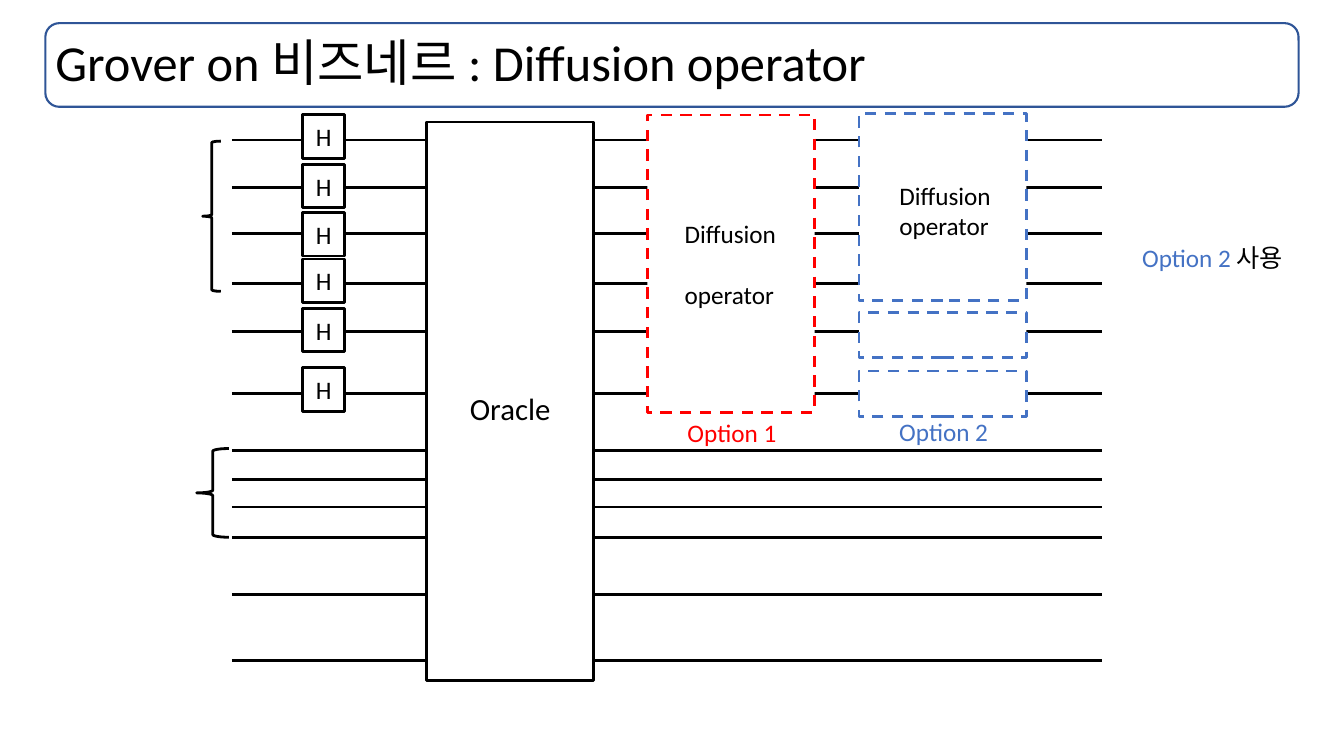
from dataclasses import dataclass

from lxml.etree import SubElement
from pptx import Presentation
from pptx.dml.color import RGBColor
from pptx.enum.dml import MSO_LINE
from pptx.enum.shapes import MSO_CONNECTOR, MSO_SHAPE
from pptx.enum.text import MSO_ANCHOR, MSO_AUTO_SIZE, PP_ALIGN
from pptx.oxml.ns import qn
from pptx.util import Pt

EMU_PER_PX = 9144  # 100 px to the inch


@dataclass(frozen=True)
class Theme:
    font: str = "Calibri"
    ink: str = "000000"
    paper: str = "FFFFFF"
    frame: str = "2F5597"
    option_1: str = "FF0000"
    option_2: str = "4472C4"
    title_size: int = 36
    oracle_size: int = 22
    label_size: int = 18
    stroke: float = 2
    frame_stroke: float = 1.5


THEME = Theme()


def px(length):
    return int(length * EMU_PER_PX)


def emu(*lengths):
    return [px(length) for length in lengths]


def style_text(paragraph, size, *colors):
    """Give the runs one size and the colours in turn."""
    for run, color in zip(paragraph.runs, colors):
        run.font.name = THEME.font
        run.font.size = Pt(size)
        run.font.color.rgb = RGBColor.from_string(color)


def add_outline(slide, kind, box, color=THEME.ink, fill=None, stroke=THEME.stroke, dashed=False):
    outline = slide.shapes.add_shape(kind, *emu(*box))
    outline.shadow.inherit = False
    if fill:
        outline.fill.solid()
        outline.fill.fore_color.rgb = RGBColor.from_string(fill)
    else:
        outline.fill.background()
    outline.line.color.rgb = RGBColor.from_string(color)
    outline.line.width = Pt(stroke)
    if dashed:
        outline.line.dash_style = MSO_LINE.DASH
    return outline


def add_block(slide, box, lines=(), size=THEME.label_size, color=THEME.ink, dashed=False,
              align=PP_ALIGN.CENTER, indent=0, drop=0, gap=0):
    """A white box with its wording inside; drop lowers the wording."""
    block = add_outline(slide, MSO_SHAPE.RECTANGLE, box, color, THEME.paper, dashed=dashed)
    frame = block.text_frame
    frame.vertical_anchor = MSO_ANCHOR.MIDDLE
    frame.margin_left, frame.margin_top = px(indent), px(2 * drop)
    frame.margin_right = frame.margin_bottom = 0
    frame.text = "\n".join(lines)
    for index, paragraph in enumerate(frame.paragraphs):
        paragraph.alignment = align
        if index:
            paragraph.space_before = Pt(gap)
        style_text(paragraph, size, THEME.ink)


def add_label(slide, box, *parts):
    """A one-line label made of (wording, colour) parts."""
    label = slide.shapes.add_textbox(*emu(*box))
    label.text_frame.word_wrap = False
    paragraph = label.text_frame.paragraphs[0]
    for wording, _ in parts:
        paragraph.add_run().text = wording
    style_text(paragraph, THEME.label_size, *(color for _, color in parts))


def title_bar(slide, box):
    add_outline(slide, MSO_SHAPE.ROUNDED_RECTANGLE, box, THEME.frame, stroke=THEME.frame_stroke)
    title = slide.shapes.title
    title.left, title.top, title.width, title.height = emu(*box)
    title.text_frame.text = "Grover on 비즈네르 : Diffusion operator"
    title.text_frame.auto_size = MSO_AUTO_SIZE.NONE
    title.text_frame.vertical_anchor = MSO_ANCHOR.MIDDLE
    heading = title.text_frame.paragraphs[0]
    heading.alignment = PP_ALIGN.LEFT
    heading.line_spacing = 0.9
    style_text(heading, THEME.title_size, THEME.ink)


def qubit_wires(slide, box):
    left, top, width, _ = box
    for offset in (0, 47, 93, 142, 190, 251, 308, 337, 364, 394, 451, 516):
        y = top + offset
        wire = slide.shapes.add_connector(
            MSO_CONNECTOR.STRAIGHT, *emu(left, y, left + width, y))
        wire.line.color.rgb = RGBColor.from_string(THEME.ink)
        wire.line.width = Pt(THEME.stroke)
        SubElement(wire.line._get_or_add_ln().getparent(), qn("a:effectLst"))
    # Braces around the two registers
    for brace in ((left - 29, top + 1, 18, 149), (left - 35, top + 306, 32, 88)):
        add_outline(slide, MSO_SHAPE.LEFT_BRACE, brace)


def hadamard_gates(slide, box):
    left, top, width, _ = box
    for offset in (0, 49, 97, 143, 192, 251):
        add_block(slide, (left, top + offset, width, 43), ["H"])


def oracle(slide, box):
    add_block(slide, box, ["Oracle"], THEME.oracle_size, drop=7)


def diffusion_option_1(slide, box):
    left, top, width, height = box
    add_block(slide, box, ["Diffusion", "operator"], color=THEME.option_1, dashed=True,
              align=PP_ALIGN.LEFT, indent=37, gap=22)
    add_label(slide, (left + 30, top + height, 109, 40), ("Option 1", THEME.option_1))


def diffusion_option_2(slide, box):
    left, top, width, height = box
    add_block(slide, (left, top, width, 185), ["Diffusion", "operator"],
              color=THEME.option_2, dashed=True, align=PP_ALIGN.LEFT, indent=40, drop=3)
    # One small block for each of the last two wires
    for offset in (197, 255):
        add_block(slide, (left, top + offset, width, 45), color=THEME.option_2, dashed=True)
    add_label(slide, (left + 30, top + height - 5, 109, 40), ("Option 2", THEME.option_2))


def choice_note(slide, box):
    add_label(slide, box, ("Option 2 ", THEME.option_2), ("사용", THEME.ink))


def main():
    deck = Presentation()
    deck.slide_width, deck.slide_height = emu(1333, 750)
    slide = deck.slides.add_slide(deck.slide_layouts[5])
    title_bar(slide, (45, 23, 1243, 83))
    qubit_wires(slide, (230, 139, 863, 516))
    hadamard_gates(slide, (300, 114, 42, 294))
    oracle(slide, (423, 121, 166, 554))
    diffusion_option_1(slide, (642, 114, 166, 295))
    diffusion_option_2(slide, (852, 113, 166, 300))
    choice_note(slide, (1123, 236, 166, 40))
    deck.save("out.pptx")


if __name__ == "__main__":
    main()
